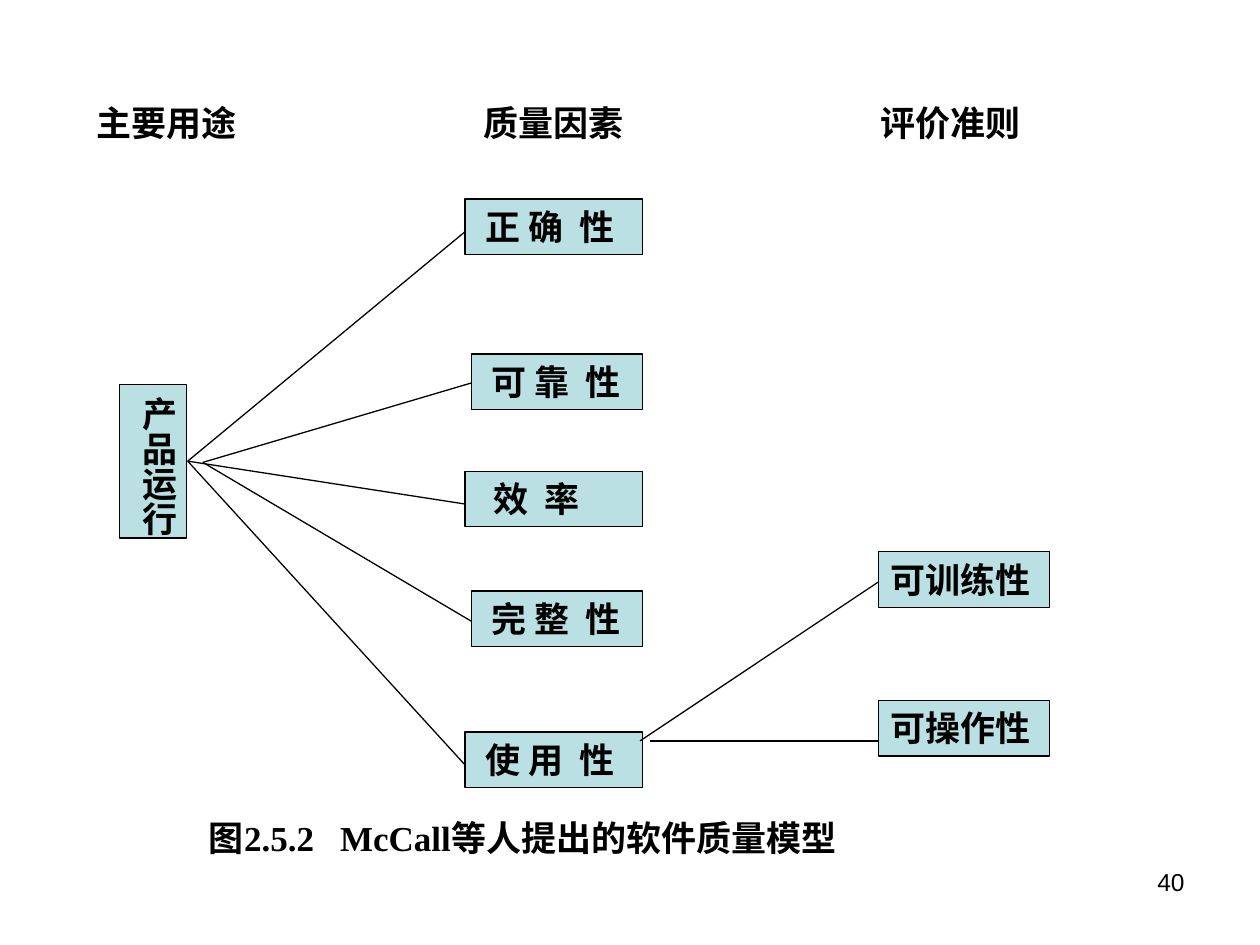
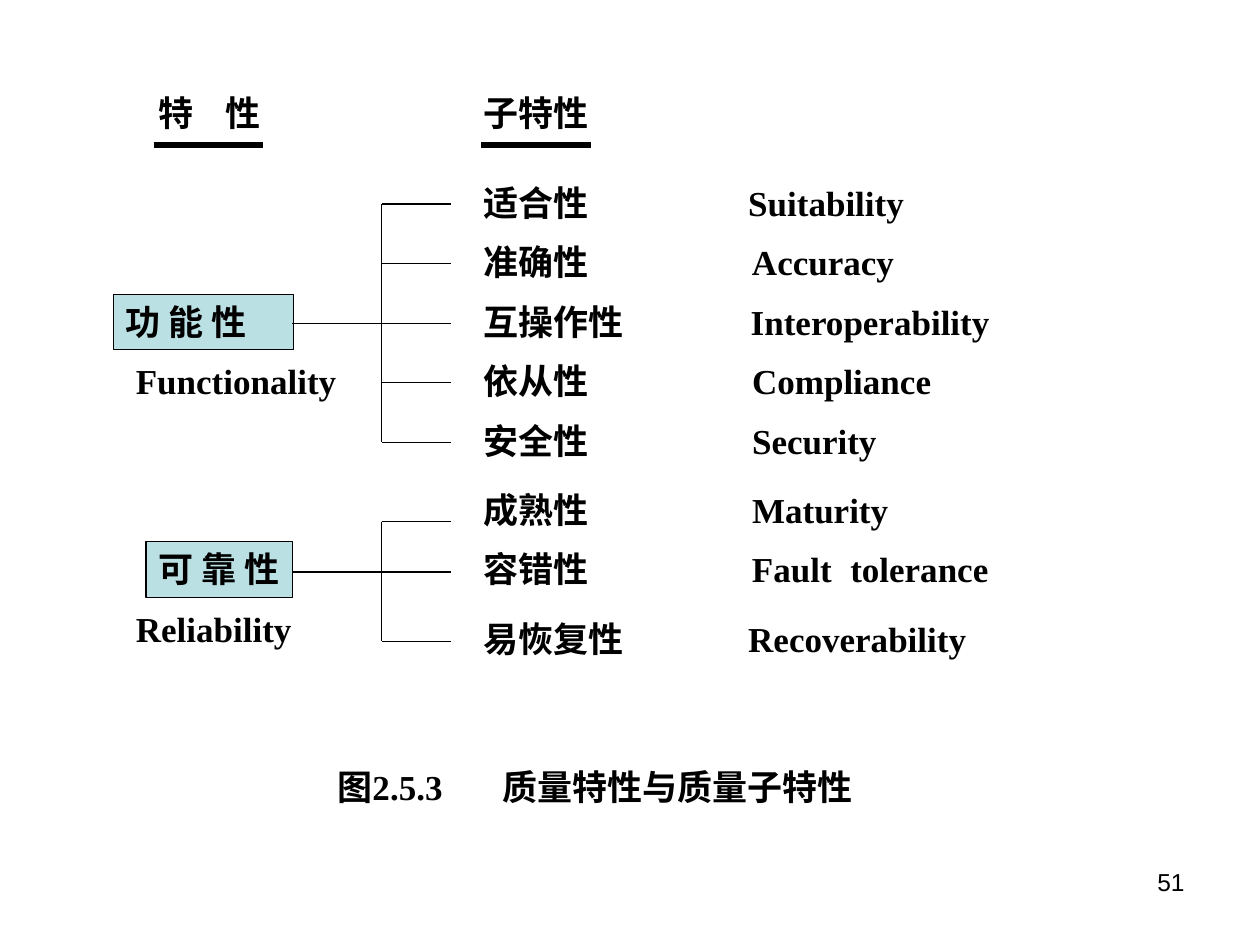
from lxml import etree
from pptx import Presentation
from pptx.dml.color import RGBColor
from pptx.enum.shapes import MSO_CONNECTOR, MSO_SHAPE
from pptx.enum.text import MSO_ANCHOR, PP_ALIGN
from pptx.oxml.ns import qn
from pptx.util import Inches, Pt

BLACK, BOX_FILL = "000000", "BBE0E3"
SERIF, SANS = "Times New Roman", "Arial"
ROW_H = 0.44


def rgb(hex_color):
    """Turn a hex string into a colour."""
    return RGBColor.from_string(hex_color)


def write(sp, text, tab=None, indent=0, size=20, font=SERIF, bold=True,
          align=PP_ALIGN.LEFT, right_margin=0.04):
    """Put one styled paragraph into a shape."""
    tf = sp.text_frame
    tf.word_wrap = True
    tf.vertical_anchor = MSO_ANCHOR.TOP
    tf.margin_left = Inches(0.1 + indent)
    tf.margin_right = Inches(right_margin)
    tf.margin_top = tf.margin_bottom = Inches(0.05)
    p = tf.paragraphs[0]
    p.text = text
    p.alignment = align
    if tab:
        tabs = etree.SubElement(p._p.get_or_add_pPr(), qn("a:tabLst"))
        etree.SubElement(tabs, qn("a:tab"), pos=str(Inches(tab)), algn="l")
    r = p.runs[0]
    r.font.name, r.font.size, r.font.bold = font, Pt(size), bold
    r.font.color.rgb = rgb(BLACK)


def add_label(s, x, y, w, text, h=ROW_H, **style):
    """Add a text box."""
    sp = s.shapes.add_textbox(Inches(x), Inches(y), Inches(w), Inches(h))
    write(sp, text, **style)


def add_box(s, x, y, w, text, h=ROW_H, **style):
    """Add an outlined, tinted box with text."""
    sp = s.shapes.add_shape(MSO_SHAPE.RECTANGLE, Inches(x), Inches(y),
                            Inches(w), Inches(h))
    sp.shadow.inherit = False
    sp.fill.solid()
    sp.fill.fore_color.rgb = rgb(BOX_FILL)
    sp.line.color.rgb = rgb(BLACK)
    sp.line.width = Pt(0.75)
    write(sp, text, **style)
    return sp


def add_line(s, x1, y1, x2, y2, width=0.75):
    """Add a straight black line."""
    cn = s.shapes.add_connector(MSO_CONNECTOR.STRAIGHT, Inches(x1), Inches(y1),
                                Inches(x2), Inches(y2))
    cn.line.color.rgb = rgb(BLACK)
    cn.line.width = Pt(width)
    etree.SubElement(cn._element.spPr, qn("a:effectLst"))


def add_vertical_box(s, x, y, w, h, text):
    """Add a box whose text runs downwards."""
    sp = add_box(s, x, y, w, text, h)
    tf = sp.text_frame
    tf.margin_left = tf.margin_right = tf.margin_top = Inches(0.05)
    tf.margin_bottom = 0
    tf._txBody.bodyPr.set("vert", "eaVert")


def add_page_number(s, number):
    """Add the page number at the lower right."""
    add_label(s, 7.17, 6.83, 2.33, str(number), h=0.52, size=14, font=SANS,
              bold=False, align=PP_ALIGN.RIGHT, right_margin=0.1)


def add_factor_tree(s, x, y):
    """Draw the use and its fan of quality factors."""
    right = x + 4.15
    factors = [
        ("正 确\t性", 0, 1.41, 0.06, 0.75, 0.26),
        ("可 靠\t性", 1.23, 1.36, 0.06, 0.75, 0.23),
        ("效\t率", 2.16, 1.41, 0.13, 0.4, 0.26),
        ("完 整\t性", 3.11, 1.36, 0.06, 0.75, 0.24),
        ("使 用\t性", 4.23, 1.41, 0.06, 0.75, 0.26),
    ]
    for i, (text, dy, w, indent, tab, link_dy) in enumerate(factors):
        left = right - w
        start_x, start_y = (x + 0.66, 2.09) if i % 2 else (x + 0.54, 2.08)
        add_line(s, start_x, y + start_y, left, y + dy + link_dy)
        add_box(s, left, y + dy, w, text, indent=indent, tab=tab)
    add_vertical_box(s, x, y + 1.47, 0.53, 1.22, "产品运行")


def add_criteria(s, x, y):
    """Draw the criteria linked to usability."""
    for text, dy, start_dx, end_dy in [("可训练性", 0, -1.89, 0.24),
                                       ("可操作性", 1.18, -1.81, 1.5)]:
        add_box(s, x, y + dy, 1.36, text)
        add_line(s, x + start_dx, y + 1.5, x, y + end_dy)


def add_characteristic(s, y, box, english, rows, ticks):
    """Draw a characteristic with a bracket to its sub-characteristics."""
    text, x, w, dy = box
    spine, end = 3.03, 3.58
    middle = len(rows) // 2
    add_box(s, x, y + dy, w, text)
    add_label(s, 0.98, y + dy + 0.47, english[1], english[0])
    add_line(s, spine, y + ticks[0], spine, y + ticks[-1])
    for i, ((name, name_w, row_dy, term, term_x, term_w, tab), tick) in enumerate(
            zip(rows, ticks)):
        add_line(s, 2.32 if i == middle else spine, y + tick, end, y + tick)
        add_label(s, 3.74, y + row_dy, name_w, name)
        add_label(s, term_x, y + row_dy, term_w, term, tab=tab)


def build_model_slide(prs):
    """Build the quality model slide."""
    s = prs.slides.add_slide(prs.slide_layouts[6])
    for text, x, w in [("主要用途", 0.67, 1.83), ("质量因素", 3.74, 1.76),
                       ("评价准则", 6.89, 1.53)]:
        add_label(s, x, 0.76, w, text)
    add_factor_tree(s, 0.95, 1.58)
    add_criteria(s, 6.97, 4.38)
    add_label(s, 1.56, 6.43, 5.25, "图2.5.2\tMcCall等人提出的软件质量模型", tab=1.04)
    add_page_number(s, 40)


def build_characteristics_slide(prs):
    """Build the characteristics and sub-characteristics slide."""
    s = prs.slides.add_slide(prs.slide_layouts[6])
    for text, x, w, line_x, tab in [("特\t性", 1.16, 1.01, 1.22, 0.53),
                                    ("子特性", 3.74, 1.03, 3.82, None)]:
        add_label(s, x, 0.68, w, text, tab=tab)
        add_line(s, line_x, 1.15, line_x + 0.87, 1.15, width=3)
    step = 1.89 / 4
    add_characteristic(
        s, 1.39, ("功 能 性", 0.9, 1.43, 2 * step), ("Functionality", 1.79),
        [("适合性", 1.03, 0, "Suitability", 5.84, 1.44, None),
         ("准确性", 1.03, step, "Accuracy", 5.87, 1.33, None),
         ("互操作性", 1.31, 2 * step, "Interoperability", 5.86, 2.1, None),
         ("依从性", 1.03, 3 * step, "Compliance", 5.87, 1.62, None),
         ("安全性", 1.03, 4 * step, "Security", 5.87, 1.19, None)],
        [0.23 + i * step for i in range(5)])
    add_characteristic(
        s, 3.83, ("可 靠 性", 1.16, 1.16, 0.47), ("Reliability", 1.43),
        [("成熟性", 1.03, 0, "Maturity", 5.87, 1.28, None),
         ("容错性", 1.03, 0.47, "Fault\ttolerance", 5.87, 2.07, 0.78),
         ("易恢复性", 1.31, 1.02, "Recoverability", 5.84, 1.93, None)],
        [0.31, 0.71, 1.26])
    add_label(s, 2.58, 6.03, 4.3, "图2.5.3\t质量特性与质量子特性", tab=1.31)
    add_page_number(s, 51)


def main():
    """Build and save the presentation."""
    prs = Presentation()
    prs.slide_width, prs.slide_height = Inches(10), Inches(7.5)
    build_model_slide(prs)
    build_characteristics_slide(prs)
    prs.save("out.pptx")


if __name__ == "__main__":
    main()
